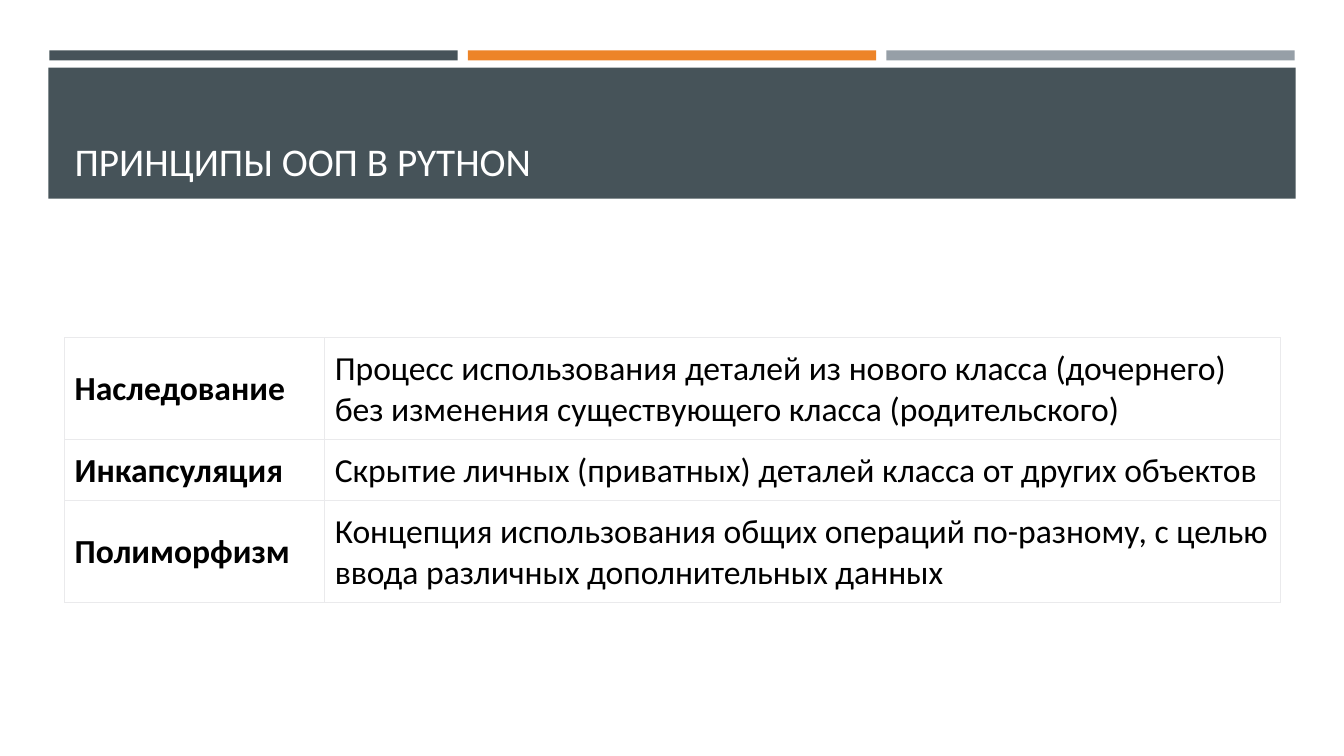
from lxml.etree import SubElement
from pptx import Presentation
from pptx.dml.color import RGBColor
from pptx.enum.shapes import MSO_SHAPE as Shape
from pptx.enum.text import MSO_ANCHOR as Anchor, MSO_AUTO_SIZE as AutoSize, PP_ALIGN as Align
from pptx.oxml.ns import qn
from pptx.util import Inches, Pt

HEADING = "ПРИНЦИПЫ ООП В PYTHON"
PRINCIPLES = [
    ("Наследование", "Процесс использования деталей из нового класса (дочернего) "
     "без изменения существующего класса (родительского)", 1.01),
    ("Инкапсуляция", "Скрытие личных (приватных) деталей класса от других объектов", 0.61),
    ("Полиморфизм", "Концепция использования общих операций по-разному, с целью "
     "ввода различных дополнительных данных", 1.01),
]
COLORS = {"slate": "465359", "orange": "ED8428", "gray": "969FA7",
          "white": "FFFFFF", "black": "000000", "border": "EAEAEC"}
STRIPES = ["slate", "orange", "gray"]
STRIPE_LEFT, STRIPE_WIDTH, STRIPE_STEP = 0.49, 4.05, 4.15
CONTENT_LEFT, CONTENT_WIDTH = 0.64, 12.06
COLUMN_WIDTHS = [2.58, 9.48]


def rgb(name):
    return RGBColor.from_string(COLORS[name])


def add_band(slide, left, top, width, height, color):
    band = slide.shapes.add_shape(
        Shape.RECTANGLE, Inches(left), Inches(top), Inches(width), Inches(height))
    band.shadow.inherit = False
    band.fill.solid()
    band.fill.fore_color.rgb = rgb(color)
    band.line.fill.background()


def style_text(paragraph, size, color, bold=False):
    paragraph.alignment = Align.LEFT
    font = paragraph.font
    font.name, font.size, font.bold = "Calibri", Pt(size), bold
    font.color.rgb = rgb(color)


def fill_cell(cell, text, bold):
    cell.text = text
    cell.vertical_anchor = Anchor.MIDDLE
    cell.margin_left = cell.margin_top = Inches(0.1)
    cell.margin_right, cell.margin_bottom = Inches(0.08), Inches(0.09)
    style_text(cell.text_frame.paragraphs[0], 24, "black", bold)
    properties = cell._tc.get_or_add_tcPr()
    for side in ("a:lnL", "a:lnR", "a:lnT", "a:lnB"):
        border = SubElement(properties, qn(side), w=str(Pt(0.75)))
        SubElement(SubElement(border, qn("a:solidFill")), qn("a:srgbClr"),
                   val=COLORS["border"])
    cell.fill.solid()
    cell.fill.fore_color.rgb = rgb("white")


def main():
    deck = Presentation()
    deck.slide_width, deck.slide_height = Inches(13.33), Inches(7.5)
    slide = deck.slides.add_slide(deck.slide_layouts[5])

    for index, color in enumerate(STRIPES):
        add_band(slide, STRIPE_LEFT + index * STRIPE_STEP, 0.5, STRIPE_WIDTH, 0.1, color)
    add_band(slide, 0.48, 0.67, 12.37, 1.3, "slate")

    title = slide.shapes.title
    slide.shapes.element.append(title.element)
    title.left, title.top = Inches(CONTENT_LEFT), Inches(0.77)
    title.width, title.height = Inches(CONTENT_WIDTH), Inches(1.11)
    title.text_frame.text = HEADING
    title.text_frame.auto_size = AutoSize.NONE
    title.text_frame.vertical_anchor = Anchor.BOTTOM
    style_text(title.text_frame.paragraphs[0], 28, "white")

    table = slide.shapes.add_table(
        len(PRINCIPLES), len(COLUMN_WIDTHS), Inches(CONTENT_LEFT), Inches(3.35),
        Inches(CONTENT_WIDTH), Inches(sum(height for *_, height in PRINCIPLES))).table
    table.first_row = table.horz_banding = False
    for column, width in zip(table.columns, COLUMN_WIDTHS):
        column.width = Inches(width)
    for row, (principle, meaning, height) in zip(table.rows, PRINCIPLES):
        row.height = Inches(height)
        fill_cell(row.cells[0], principle, True)
        fill_cell(row.cells[1], meaning, False)

    deck.save("out.pptx")


if __name__ == "__main__":
    main()
